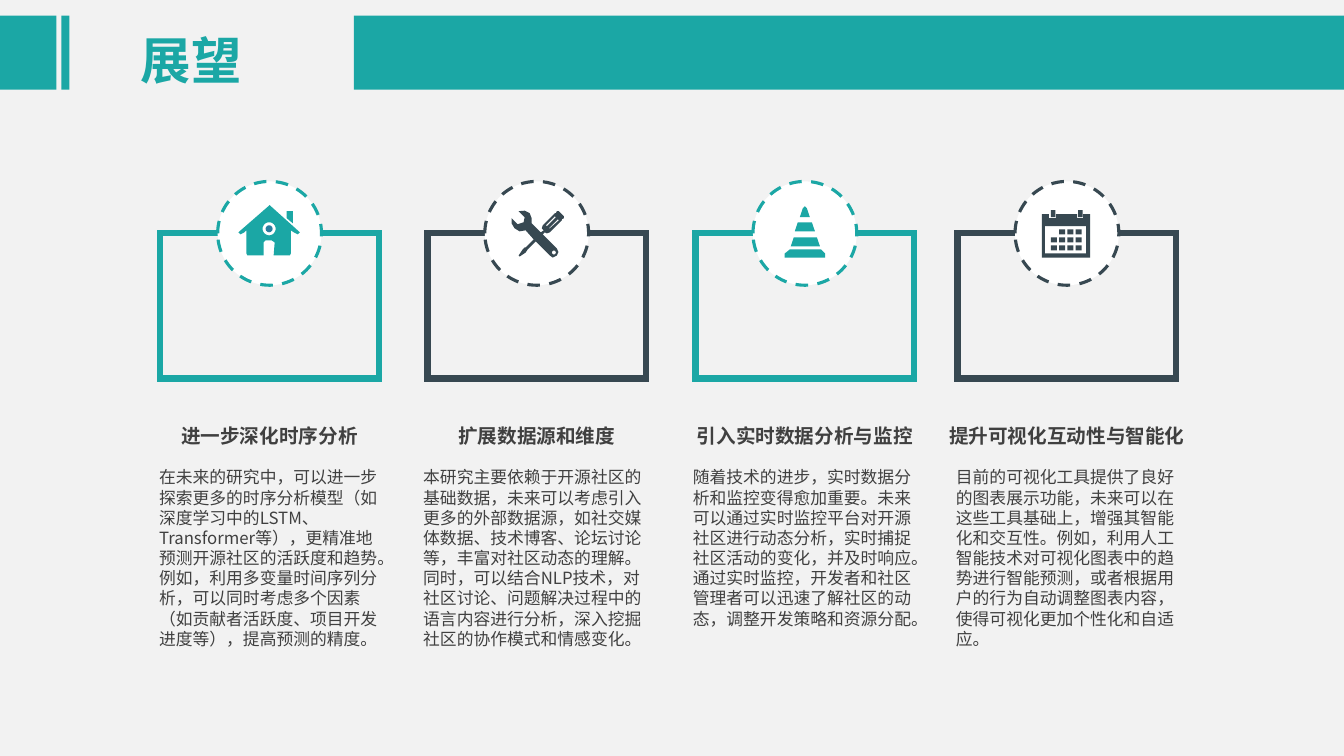
import math
from dataclasses import dataclass

import pptx
import pptx.dml.color
import pptx.enum.dml
import pptx.enum.shapes
import pptx.enum.text
import pptx.oxml.ns
import pptx.util
from lxml import etree

Point = tuple[float, float]
Box = tuple[float, float, float, float]
SHAPE = pptx.enum.shapes.MSO_SHAPE
ALIGN = pptx.enum.text.PP_ALIGN


@dataclass(frozen=True)
class Theme:
    teal: str = "1BA7A5"
    slate: str = "374851"
    dot: str = "297E9F"
    paper: str = "F2F2F2"
    white: str = "FFFFFF"
    ink: str = "404040"
    font: str = "Noto Sans CJK SC"
    title_pt: float = 36
    heading_pt: float = 14
    body_pt: float = 12
    frame_pt: float = 4.5
    ring_pt: float = 2.25


@dataclass(frozen=True)
class Icon:
    """Parts in tenths of a grid cell, measured from the badge's centre."""
    outlines: list[list[list[Point]]]
    blocks: tuple[Box, ...] = ()
    dots: tuple[Box, ...] = ()


@dataclass(frozen=True)
class Topic:
    centre: float
    color: str
    icon: Icon
    heading: str
    body: str
    body_cols: float
    body_rows: float = 19.2


# Grid: square cells, ten to the inch
CELL = 0.1
COLS, ROWS = 133.33, 75
FRAME_TOP, FRAME_COLS, FRAME_ROWS = 23.15, 21.7, 14.4
BADGE = 10.3
HEADING_TOP, HEADING_ROWS, BODY_TOP = 40.4, 4.5, 45.85
INSET = 1.05
THEME = Theme()


def cells(n: float) -> pptx.util.Emu:
    return pptx.util.Inches(n * CELL)


def rgb(color: str) -> pptx.dml.color.RGBColor:
    return pptx.dml.color.RGBColor.from_string(color)


def circle(cx: float, cy: float, radius: float, n: int = 24) -> list[Point]:
    angles = [2 * math.pi * i / n for i in range(n)]
    return [(cx + radius * math.cos(a), cy + radius * math.sin(a)) for a in angles]


# Icons
HOUSE = Icon(
    [[[(0, -28), (-31, -1), (-29, 1), (-25, -1), (-23, -3), (-23, 20), (-22, 22), (-6, 22), (-6, 9),
       (-4, 7), (2, 7), (5, 9), (4, 22), (20, 22), (21, 20), (21, -3), (24, -1), (28, 1), (30, -1)],
      circle(-0.5, -4.5, 6.5)],
     [[(23, -10), (23, -22), (17, -22), (17, -15)]]],
    dots=((-4, -8, 7, 7),))
TOOLS = Icon(
    [[[(27, -17), (22, -22), (20, -22), (19, -20), (18, -20), (6, -8), (5, -5), (6, -4), (7, -3),
       (4, -1), (-5, -10), (-5, -15), (-7, -20), (-12, -22.5), (-18, -22), (-12, -16), (-13, -11),
       (-19, -9), (-25, -15), (-25, -10), (-22, -5), (-17, -2), (-11, -3), (-3, 6), (-11, 14),
       (-12, 14), (-14, 16), (-18, 22), (-17, 23), (-11, 19), (-9, 16), (-1, 8), (13, 22), (16, 24),
       (20, 22), (21.5, 18.5), (20, 15), (6, 1), (8, -1), (10, 0), (13, -1), (25, -13), (25, -14),
       (27, -15)],
      circle(17, 19, 2),
      [(10, -7), (9, -8), (18, -17), (19, -16)],
      [(13, -5), (12, -5), (21, -14), (22, -13)]]])
CONE = Icon(
    [[[(20, 24), (-20, 24), (-20, 20), (-15, 16), (16, 16), (20, 20)],
      [(-14, 13), (-11, 4), (12, 4), (15, 13)],
      [(-10, -2), (-7, -11), (7, -11), (10, -2)],
      [(-2, -25), (0, -27), (2, -25), (5, -16), (-5, -16)]]])
DAYS = tuple((-16 + 8.2 * c, -4 + 8 * r, 6, 5) for r in range(3) for c in range(4) if r + c > 0)
CALENDAR = Icon(
    [[[(23, -19), (16, -19), (16, -15), (10, -15), (10, -19), (-11, -19), (-11, -15), (-18, -15),
       (-18, -19), (-25, -19), (-25, 24), (23, 24)],
      [(19, 20), (-22, 20), (-22, -7), (19, -7)]]],
    blocks=DAYS + ((-16, -23, 4.5, 7), (11, -23, 4.5, 7)))

TOPICS = [
    Topic(26.75, THEME.teal, HOUSE, "进一步深化时序分析",
          "在未来的研究中，可以进一步探索更多的时序分析模型（如深度学习中的LSTM、Transformer等），"
          "更精准地预测开源社区的活跃度和趋势。例如，利用多变量时间序列分析，可以同时考虑多个因素"
          "（如贡献者活跃度、项目开发进度等），提高预测的精度。", 23.9),
    Topic(53.25, THEME.slate, TOOLS, "扩展数据源和维度",
          "本研究主要依赖于开源社区的基础数据，未来可以考虑引入更多的外部数据源，如社交媒体数据、"
          "技术博客、论坛讨论等，丰富对社区动态的理解。同时，可以结合NLP技术，对社区讨论、"
          "问题解决过程中的语言内容进行分析，深入挖掘社区的协作模式和情感变化。", 24.5),
    Topic(79.85, THEME.teal, CONE, "引入实时数据分析与监控",
          "随着技术的进步，实时数据分析和监控变得愈加重要。未来可以通过实时监控平台对开源社区进行"
          "动态分析，实时捕捉社区活动的变化，并及时响应。通过实时监控，开发者和社区管理者可以迅速"
          "了解社区的动态，调整开发策略和资源分配。", 24.2, 17.2),
    Topic(105.85, THEME.slate, CALENDAR, "提升可视化互动性与智能化",
          "目前的可视化工具提供了良好的图表展示功能，未来可以在这些工具基础上，增强其智能化和交互性。"
          "例如，利用人工智能技术对可视化图表中的趋势进行智能预测，或者根据用户的行为自动调整图表内容，"
          "使得可视化更加个性化和自适应。", 24),
]


def add_shape(slide, kind, box: Box, fill: str = "", line: str = "", width: float = 0):
    sp = slide.shapes.add_shape(kind, *map(cells, box))
    paint(sp, fill, line, width)
    return sp


def paint(sp, fill: str, line: str = "", width: float = 0) -> None:
    sp.shadow.inherit = False
    if fill:
        sp.fill.solid()
        sp.fill.fore_color.rgb = rgb(fill)
    else:
        sp.fill.background()
    if line:
        sp.line.color.rgb = rgb(line)
        sp.line.width = pptx.util.Pt(width)
    else:
        sp.line.fill.background()


def add_text(slide, box: Box, text: str, size: float, color: str, bold: bool = False,
             wrap: bool = True, spacing: float = 1.0, align=ALIGN.LEFT):
    tf = slide.shapes.add_textbox(*map(cells, box)).text_frame
    tf.word_wrap = wrap
    tf.text = text
    p = tf.paragraphs[0]
    p.alignment, p.line_spacing = align, spacing
    r = p.runs[0]
    r.font.size, r.font.bold, r.font.name = pptx.util.Pt(size), bold, THEME.font
    r.font.color.rgb = rgb(color)
    ea = etree.SubElement(r.font._element, pptx.oxml.ns.qn("a:ea"))
    ea.set("typeface", THEME.font)
    return tf


def add_icon(slide, icon: Icon, cx: float, cy: float, color: str) -> None:
    for outline in icon.outlines:
        fb = slide.shapes.build_freeform(scale=float(cells(0.01)))
        for contour in outline:
            points = [(10 * x, 10 * y) for x, y in contour]
            fb.move_to(*points[0])
            fb.add_line_segments(points[1:], close=True)
        paint(fb.convert_to_shape(cells(cx), cells(cy)), color)
    parts = ((SHAPE.RECTANGLE, icon.blocks, color), (SHAPE.OVAL, icon.dots, THEME.dot))
    for kind, boxes, fill in parts:
        for x, y, w, h in boxes:
            add_shape(slide, kind, (cx + x / 10, cy + y / 10, w / 10, h / 10), fill)


def add_topic(slide, topic: Topic) -> None:
    cx = topic.centre
    frame = add_shape(slide, SHAPE.RECTANGLE,
                      (cx - FRAME_COLS / 2, FRAME_TOP, FRAME_COLS, FRAME_ROWS),
                      line=topic.color, width=THEME.frame_pt)
    miter = etree.SubElement(frame.line._get_or_add_ln(), pptx.oxml.ns.qn("a:miter"))
    miter.set("lim", "800000")
    badge = add_shape(slide, SHAPE.OVAL, (cx - BADGE / 2, FRAME_TOP - BADGE / 2, BADGE, BADGE),
                      THEME.white, topic.color, THEME.ring_pt)
    badge.line.dash_style = pptx.enum.dml.MSO_LINE.DASH
    add_icon(slide, topic.icon, cx, FRAME_TOP, topic.color)
    heading_cols = len(topic.heading) * THEME.heading_pt / 72 / CELL + 2 * INSET
    tf = add_text(slide, (cx - heading_cols / 2, HEADING_TOP, heading_cols, HEADING_ROWS),
                  topic.heading, THEME.heading_pt, THEME.ink, bold=True, wrap=False, spacing=1.5,
                  align=ALIGN.CENTER)
    tf.auto_size = pptx.enum.text.MSO_AUTO_SIZE.SHAPE_TO_FIT_TEXT
    add_text(slide, (cx - topic.body_cols / 2, BODY_TOP, topic.body_cols, topic.body_rows),
             topic.body, THEME.body_pt, THEME.ink)


def main() -> None:
    prs = pptx.Presentation()
    prs.slide_width, prs.slide_height = cells(COLS), cells(ROWS)
    slide = prs.slides.add_slide(prs.slide_layouts[6])

    # Backdrop, header bars and title
    add_shape(slide, SHAPE.RECTANGLE, (0, 0, COLS, ROWS), THEME.paper)
    for left, width in ((0, 5.6), (6.1, 0.8), (35.1, COLS - 35.1)):
        add_shape(slide, SHAPE.RECTANGLE, (left, 1.55, width, 7.35), THEME.teal)
    tf = add_text(slide, (13, 1.6, 12.3, 7.4), "展望", THEME.title_pt, THEME.teal,
                  bold=True, spacing=1.2)
    tf.vertical_anchor = pptx.enum.text.MSO_ANCHOR.MIDDLE

    # Four topics
    for topic in TOPICS:
        add_topic(slide, topic)
    prs.save("out.pptx")


if __name__ == "__main__":
    main()
